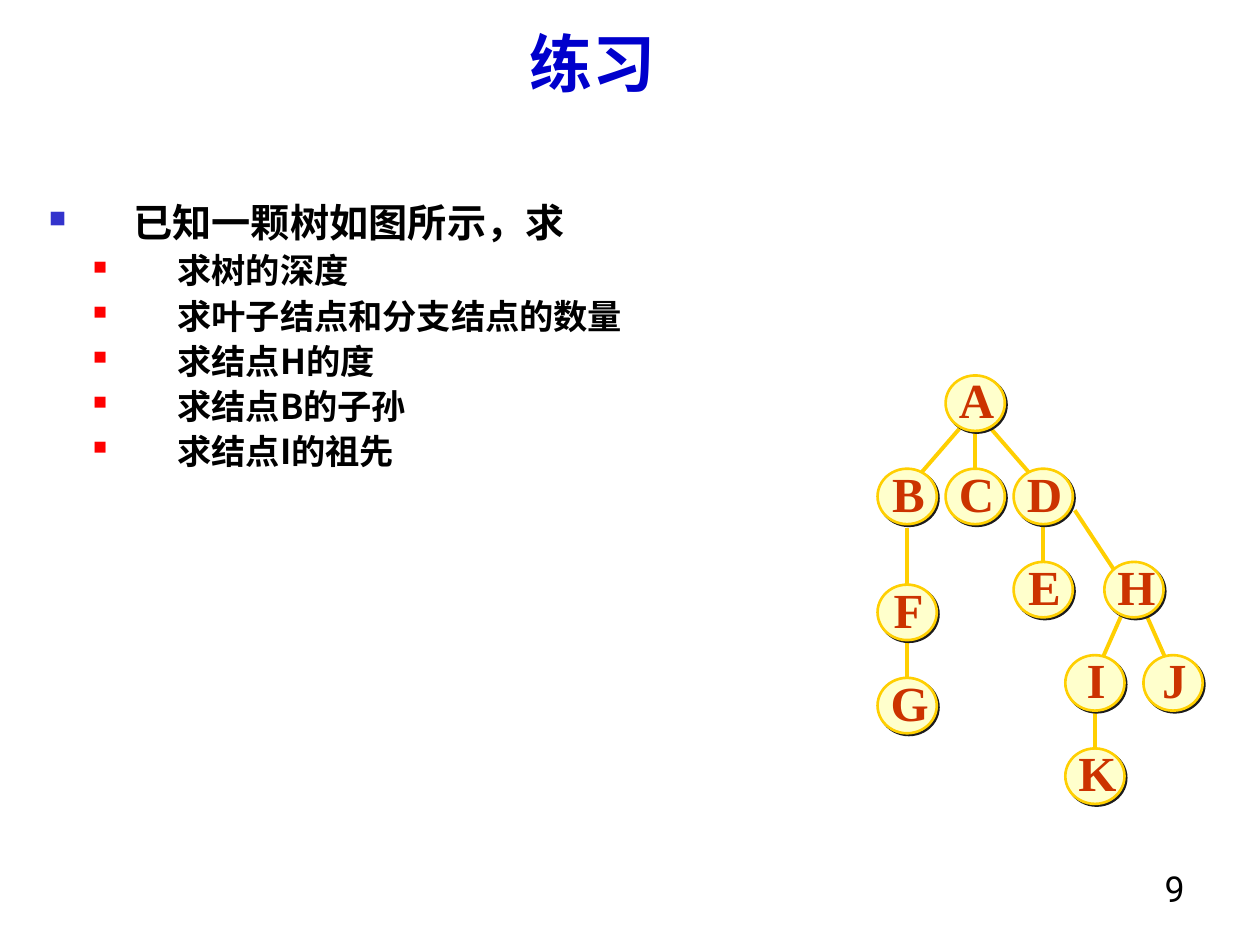
from dataclasses import dataclass

from lxml.etree import SubElement
from pptx import Presentation
from pptx.dml.color import RGBColor
from pptx.enum.shapes import MSO_CONNECTOR, MSO_SHAPE
from pptx.enum.text import MSO_ANCHOR, PP_ALIGN
from pptx.oxml.ns import qn
from pptx.util import Inches, Pt


@dataclass(frozen=True)
class Theme:
    black: str = "000000"
    title: str = "0000CC"
    bullet: str = "3333CC"
    sub_bullet: str = "FF0000"
    letter: str = "CC3300"
    node: str = "FFFFCC"
    edge: str = "FFCF01"
    shadow: str = "1C1C1C"
    title_size: float = 36
    body_size: float = 22.4
    sub_size: float = 19.6
    number_size: float = 20.4
    letter_size: float = 28
    sans: str = "Roboto"
    chinese: str = "Noto Sans CJK SC"
    serif: str = "Times New Roman"


theme = Theme()


def style_runs(paragraph, size, color, font_name, bold=True):
    for run in paragraph.runs:
        run.font.size = Pt(size)
        run.font.bold = bold
        run.font.name = font_name
        run.font.color.rgb = RGBColor.from_string(color)
        SubElement(run._r.get_or_add_rPr(), qn("a:ea"), typeface=theme.chinese)


def add_text(left, top, width, height, text, anchor, alignment, wrap=True):
    box = slide.shapes.add_textbox(Inches(left), Inches(top), Inches(width), Inches(height))
    frame = box.text_frame
    frame.text = text
    frame.word_wrap = wrap
    frame.vertical_anchor = anchor
    for paragraph in frame.paragraphs:
        paragraph.alignment = alignment
    return frame


presentation = Presentation()
presentation.slide_width = Inches(10)
presentation.slide_height = Inches(7.5)
slide = presentation.slides.add_slide(presentation.slide_layouts[6])

# Page number
number = add_text(7.17, 6.83, 2.33, 0.5, "9", MSO_ANCHOR.TOP, PP_ALIGN.RIGHT)
style_runs(number.paragraphs[0], theme.number_size, theme.black, theme.sans, bold=False)

# Question and its parts
questions = [
    "已知一颗树如图所示，求",
    "求树的深度",
    "求叶子结点和分支结点的数量",
    "求结点H的度",
    "求结点B的子孙",
    "求结点I的祖先",
]
body = add_text(0.29, 1.6, 9.29, 2.6, "\n".join(questions), MSO_ANCHOR.TOP, PP_ALIGN.LEFT)
for index, paragraph in enumerate(body.paragraphs):
    is_sub = index > 0
    paragraph.level = int(is_sub)
    paragraph.line_spacing = 0.8
    paragraph.space_before = Pt(7 if is_sub else 0)
    properties = paragraph._p.get_or_add_pPr()
    properties.set("marL", str(Inches(1.02 if is_sub else 0.67)))
    properties.set("indent", str(Inches(-0.67)))
    bullet_color = SubElement(properties, qn("a:buClr"))
    SubElement(bullet_color, qn("a:srgbClr"), val=theme.sub_bullet if is_sub else theme.bullet)
    SubElement(properties, qn("a:buSzPct"), val="55000" if is_sub else "60000")
    SubElement(properties, qn("a:buChar"), char="■")
    size = theme.sub_size if is_sub else theme.body_size
    style_runs(paragraph, size, theme.black, theme.chinese)

# Title
title = add_text(0.2, 0.13, 9, 0.71, "练习", MSO_ANCHOR.BOTTOM, PP_ALIGN.CENTER)
style_runs(title.paragraphs[0], theme.title_size, theme.title, theme.sans)

# Tree layout: node centres, on rows an equal step apart
rows = [3.2 + 0.74 * level for level in range(5)]
nodes = {
    "A": (7.74, rows[0]),
    "B": (7.2, rows[1]),
    "C": (7.74, rows[1]),
    "D": (8.28, rows[1]),
    "E": (8.28, rows[2]),
    "F": (7.2, rows[2] + 0.18),
    "G": (7.2, rows[3] + 0.18),
    "H": (9, rows[2]),
    "I": (8.69, rows[3]),
    "J": (9.31, rows[3]),
    "K": (8.69, rows[4]),
}

# Edges: parent, child, offset from the parent centre, offset from the child centre
edges = [
    ("A", "D", (0.08, 0.15), (-0.07, -0.14)),
    ("A", "B", (-0.08, 0.15), (0.07, -0.14)),
    ("D", "E", (0, 0.15), (0, -0.14)),
    ("A", "C", (0, 0.15), (0, -0.14)),
    ("F", "G", (0, 0.15), (0, -0.14)),
    ("H", "J", (0.08, 0.16), (0, -0.06)),
    ("H", "I", (-0.08, 0.16), (0, -0.06)),
    ("I", "K", (0, 0.15), (0, -0.14)),
    ("B", "F", (0, 0.25), (0, -0.22)),
    ("D", "H", (0.25, 0.11), (-0.16, -0.16)),
]
for parent, child, start, end in edges:
    points = [
        Inches(center + offset)
        for name, offsets in ((parent, start), (child, end))
        for center, offset in zip(nodes[name], offsets)
    ]
    edge = slide.shapes.add_connector(MSO_CONNECTOR.STRAIGHT, *points)
    edge.line.color.rgb = RGBColor.from_string(theme.edge)
    edge.line.width = Pt(2.25)
    SubElement(edge._element.spPr, qn("a:effectLst"))

# Nodes with a hard shadow, and their letters
node_width, node_height = 0.47, 0.44
letter_width, letter_height = 0.48, 0.57
for letter, (x, y) in nodes.items():
    node = slide.shapes.add_shape(
        MSO_SHAPE.OVAL,
        Inches(x - node_width / 2), Inches(y - node_height / 2),
        Inches(node_width), Inches(node_height),
    )
    node.fill.solid()
    node.fill.fore_color.rgb = RGBColor.from_string(theme.node)
    node.line.color.rgb = RGBColor.from_string(theme.edge)
    node.line.width = Pt(1.5)
    node.shadow.inherit = False
    effects = node._element.spPr.find(qn("a:effectLst"))
    shadow = SubElement(effects, qn("a:outerShdw"), dist=str(Pt(1.4)), dir="2700000", algn="ctr", rotWithShape="0")
    SubElement(shadow, qn("a:srgbClr"), val=theme.shadow)

    label = add_text(
        x - letter_width / 2 + 0.01, y - letter_height / 2 - 0.03,
        letter_width, letter_height, letter,
        MSO_ANCHOR.MIDDLE, PP_ALIGN.CENTER, wrap=False,
    )
    style_runs(label.paragraphs[0], theme.letter_size, theme.letter, theme.serif)

presentation.save("out.pptx")
